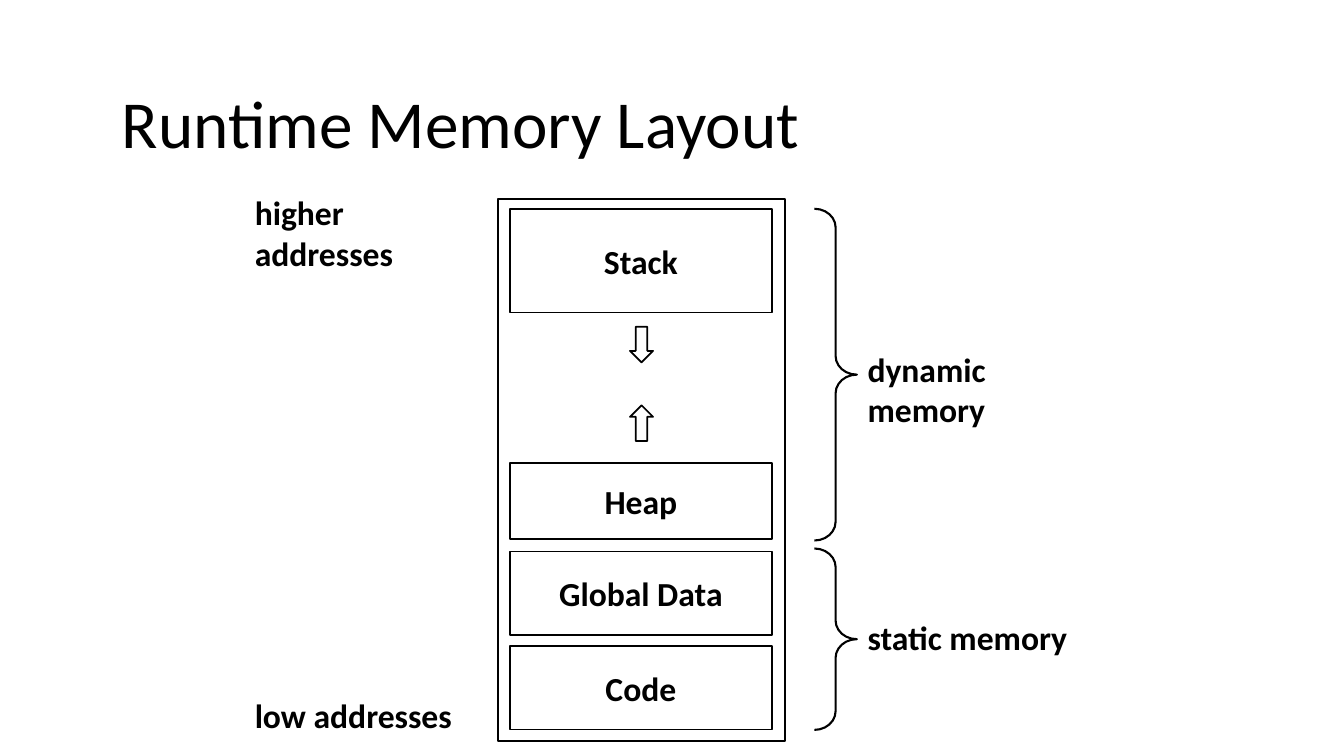
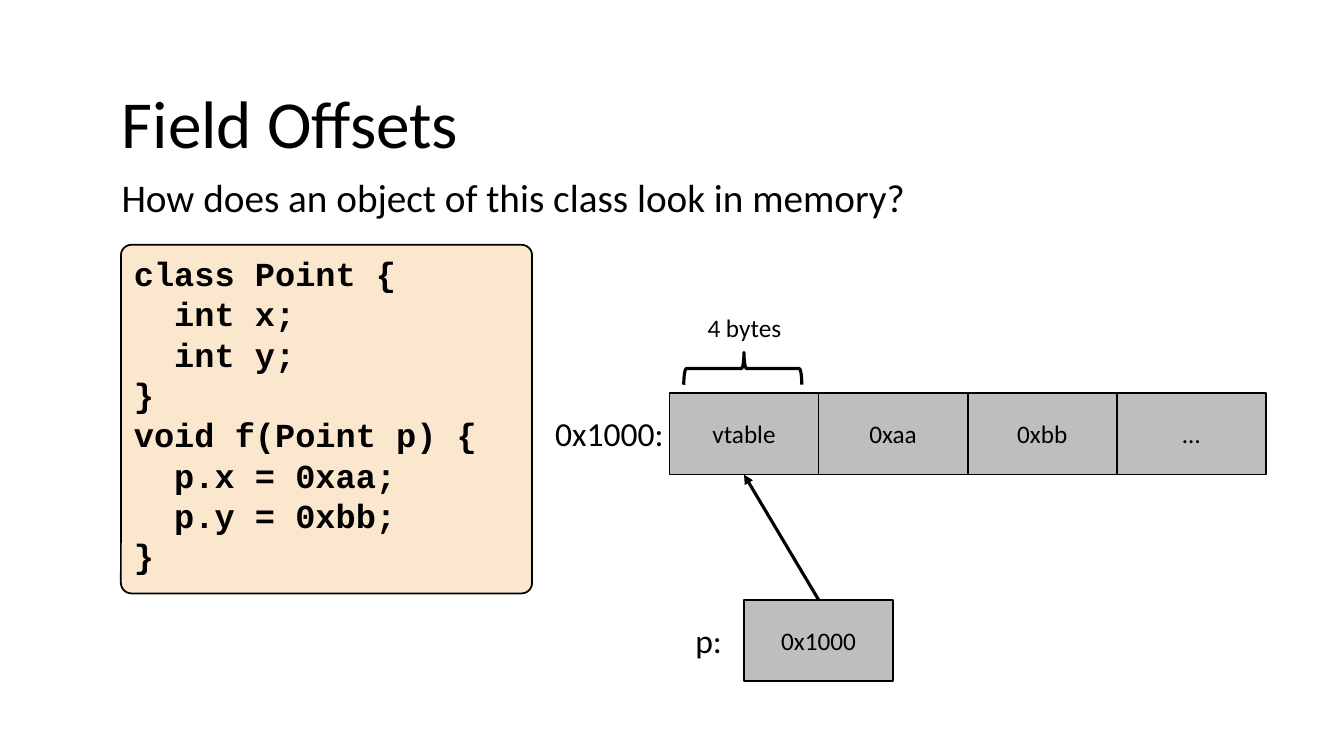
from dataclasses import dataclass

import pptx
import pptx.dml.color
import pptx.enum.shapes
import pptx.enum.text
import pptx.oxml.ns
import pptx.oxml.xmlchemy
import pptx.util

RGBColor = pptx.dml.color.RGBColor
Shapes = pptx.enum.shapes.MSO_SHAPE
Align = pptx.enum.text.PP_ALIGN
Anchor = pptx.enum.text.MSO_ANCHOR

# Shared look
BLACK = RGBColor(0x00, 0x00, 0x00)
WHITE = RGBColor(0xFF, 0xFF, 0xFF)
GRAY = RGBColor(0x59, 0x59, 0x59)
CREAM = RGBColor(0xFB, 0xE6, 0xCE)
BODY_FONT = "Calibri"
CODE_FONT = "Courier New"
THIN, MEDIUM, THICK = 1.25, 1.5, 2.25

# Grid of 32 columns by 18 rows
SLIDE_WIDTH = pptx.util.Inches(13.33)
SLIDE_HEIGHT = pptx.util.Inches(7.5)
COLUMN = SLIDE_WIDTH / 32
ROW = SLIDE_HEIGHT / 18


@dataclass(frozen=True)
class Box:
    """An area in columns and rows."""
    left: float
    top: float
    width: float
    height: float

    def lengths(self) -> tuple[int, int, int, int]:
        return (round(self.left * COLUMN), round(self.top * ROW),
                round(self.width * COLUMN), round(self.height * ROW))


@dataclass(frozen=True)
class TextStyle:
    size: float
    bold: bool = False
    font: str = BODY_FONT


@dataclass(frozen=True)
class Segment:
    name: str
    top: float
    height: float


@dataclass(frozen=True)
class Label:
    text: str
    box: Box
    style: TextStyle


@dataclass(frozen=True)
class CodeLine:
    text: str
    level: int = 0


TITLE = TextStyle(48)
SUBTITLE = TextStyle(28)
DIAGRAM = TextStyle(24, bold=True)
ADDRESS = TextStyle(24)
CELL = TextStyle(18)
CODE = TextStyle(24, bold=True, font=CODE_FONT)

TITLE_BOX = Box(2.66, 1.82, 26.62, 2.18)


# Drawing helpers
def new_element(tag: str, **attributes: str):
    element = pptx.oxml.xmlchemy.OxmlElement(tag)
    for name, value in attributes.items():
        element.set(name, value)
    return element


def add_run(paragraph, text: str, style: TextStyle) -> None:
    run = paragraph.add_run()
    run.text = text
    run.font.name = style.font
    run.font.size = pptx.util.Pt(style.size)
    run.font.bold = style.bold
    run.font.color.rgb = BLACK


def add_titled_slide(presentation, title: str):
    slide = presentation.slides.add_slide(presentation.slide_layouts[5])
    shape = slide.shapes.title
    shape.left, shape.top, shape.width, shape.height = TITLE_BOX.lengths()
    frame = shape.text_frame
    frame.auto_size = pptx.enum.text.MSO_AUTO_SIZE.NONE
    frame.vertical_anchor = Anchor.TOP
    frame.paragraphs[0].alignment = Align.LEFT
    add_run(frame.paragraphs[0], title, TITLE)
    return slide


def add_label(slide, label: Label) -> None:
    frame = slide.shapes.add_textbox(*label.box.lengths()).text_frame
    frame.word_wrap = True
    add_run(frame.paragraphs[0], label.text, label.style)


def add_outline(slide, kind, box: Box, line: float = THIN,
                fill: RGBColor | None = None, opacity: int = 100):
    shape = slide.shapes.add_shape(kind, *box.lengths())
    shape.shadow.inherit = False
    shape.line.color.rgb = BLACK
    shape.line.width = pptx.util.Pt(line)
    if fill is None:
        shape.fill.background()
        return shape
    shape.fill.solid()
    shape.fill.fore_color.rgb = fill
    if opacity < 100:
        solid_fill = shape._element.spPr.find(pptx.oxml.ns.qn("a:solidFill"))
        solid_fill[0].append(new_element("a:alpha", val=str(opacity * 1000)))
    return shape


def add_cell(slide, text: str, box: Box, style: TextStyle,
             fill: RGBColor, opacity: int):
    shape = add_outline(slide, Shapes.RECTANGLE, box, fill=fill, opacity=opacity)
    shape.text_frame.vertical_anchor = Anchor.MIDDLE
    paragraph = shape.text_frame.paragraphs[0]
    paragraph.alignment = Align.CENTER
    add_run(paragraph, text, style)
    return shape


def add_brace(slide, kind, box: Box, line: float, curve: float,
              point: float, rotation: float = 0) -> None:
    brace = add_outline(slide, kind, box, line)
    brace.adjustments[0] = curve
    brace.adjustments[1] = point
    brace.rotation = rotation


def add_arrow(slide, source, target) -> None:
    """Arrow from the top of source to the bottom of target."""
    connector = slide.shapes.add_connector(
        pptx.enum.shapes.MSO_CONNECTOR.STRAIGHT, 0, 0, 0, 0)
    connector.begin_connect(source, 0)
    connector.end_connect(target, 2)
    connector.line.color.rgb = BLACK
    connector.line.width = pptx.util.Pt(THICK)
    properties = connector._element.spPr
    outline = properties.find(pptx.oxml.ns.qn("a:ln"))
    outline.append(new_element("a:tailEnd", type="triangle"))
    properties.append(new_element("a:effectLst"))


def add_code(slide, box: Box, lines: list[CodeLine]) -> None:
    shape = add_outline(slide, Shapes.ROUNDED_RECTANGLE, box, fill=CREAM)
    shape.adjustments[0] = 0.03
    frame = shape.text_frame
    frame.vertical_anchor = Anchor.TOP
    indent = pptx.util.Pt(2 * 0.6 * CODE.size)  # two characters
    for index, line in enumerate(lines):
        paragraph = frame.add_paragraph() if index else frame.paragraphs[0]
        paragraph.alignment = Align.LEFT
        paragraph.line_spacing = pptx.util.Pt(28.8)
        properties = paragraph._p.get_or_add_pPr()
        properties.set("marL", str(line.level * indent))
        properties.set("indent", "0")
        add_run(paragraph, line.text, CODE)


# Slide 1: memory layout
def build_memory_layout(presentation) -> None:
    slide = add_titled_slide(presentation, "Runtime Memory Layout")
    add_outline(slide, Shapes.RECTANGLE, Box(11.86, 4.73, 6.84, 12.91))

    for segment in (Segment("Stack", 4.97, 2.47), Segment("Heap", 11.02, 1.82),
                    Segment("Global Data", 13.13, 1.99),
                    Segment("Code", 15.38, 1.99)):
        box = Box(12.14, segment.top, 6.24, segment.height)
        add_cell(slide, segment.name, box, DIAGRAM, WHITE, 59)

    # Growth directions of stack and heap
    for kind, top in ((Shapes.DOWN_ARROW, 7.78), (Shapes.UP_ARROW, 9.65)):
        add_outline(slide, kind, Box(15, top, 0.55, 0.85), fill=WHITE)

    for top, height in ((4.97, 7.9), (13.06, 4.32)):
        add_brace(slide, Shapes.RIGHT_BRACE, Box(19.39, top, 1.01, height),
                  MEDIUM, 0.44, 0.5)

    for text, left, top in (("higher addresses", 5.83, 4.46),
                            ("low addresses", 5.83, 16.42),
                            ("dynamic memory", 20.42, 8.18),
                            ("static memory", 20.42, 14.57)):
        add_label(slide, Label(text, Box(left, top, 5.76, 1.2), DIAGRAM))


# Slide 2: object in memory
def build_field_offsets(presentation) -> None:
    slide = add_titled_slide(presentation, "Field Offsets")

    # Row of memory words and the pointer to it
    left, top, width, height = 15.94, 9.36, 3.55, 1.94
    words = [add_cell(slide, text, Box(left + index * width, top, width, height),
                      CELL, GRAY, 39)
             for index, text in enumerate(("vtable", "0xaa", "0xbb", "…"))]
    pointer = add_cell(slide, "0x1000", Box(left + width / 2, 14.28, width, height),
                       CELL, GRAY, 39)
    add_arrow(slide, pointer, words[0])
    add_brace(slide, Shapes.LEFT_BRACE, Box(17.3, 7.37, 0.77, 2.81),
              THICK, 0.08, 0.49, rotation=90)

    for label in (
            Label("How does an object of this class look in memory?",
                  Box(TITLE_BOX.left, 4.01, TITLE_BOX.width, 1.37), SUBTITLE),
            Label("4 bytes", Box(16.61, 7.32, width, 0.96), CELL),
            Label("p:", Box(16.32, 14.64, width, 1.2), ADDRESS),
            Label("0x1000:", Box(12.98, 9.72, 3.19, 1.2), ADDRESS)):
        add_label(slide, label)

    add_code(slide, Box(2.88, 5.83, 9.79, 8.3), [
        CodeLine("class Point {"),
        CodeLine("int x;", 1),
        CodeLine("int y;", 1),
        CodeLine("}"),
        CodeLine("void f(Point p) {"),
        CodeLine("p.x = 0xaa;", 1),
        CodeLine("p.y = 0xbb;", 1),
        CodeLine("}"),
    ])


def main() -> None:
    presentation = pptx.Presentation()
    presentation.slide_width = SLIDE_WIDTH
    presentation.slide_height = SLIDE_HEIGHT
    build_memory_layout(presentation)
    build_field_offsets(presentation)
    presentation.save("out.pptx")


if __name__ == "__main__":
    main()
